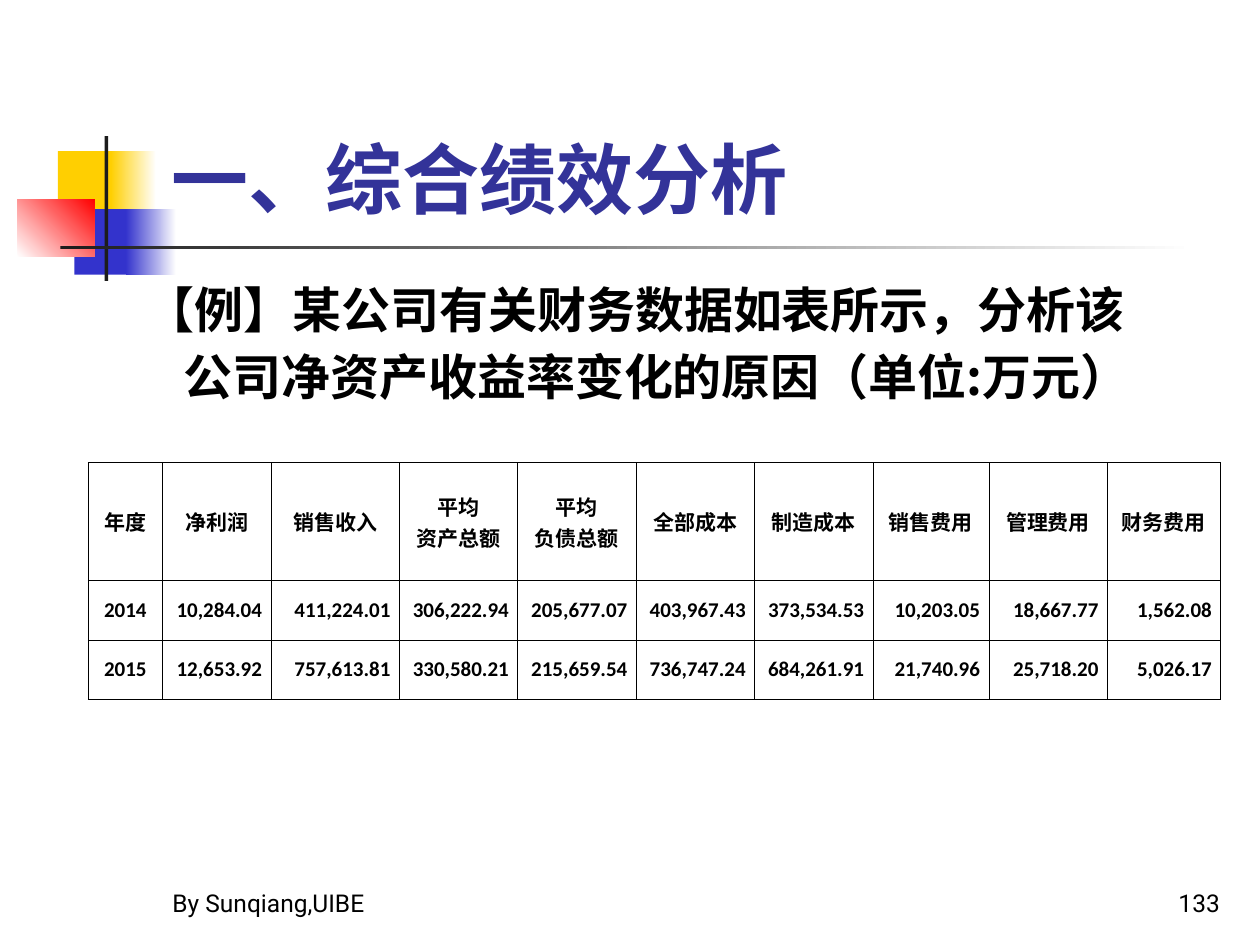
import pptx
import pptx.util
import pptx.dml.color
import pptx.enum.shapes
import pptx.enum.text
import pptx.oxml
import pptx.oxml.ns
from pptx.util import Inches
from lxml import etree

COLORS = {
    "yellow": "FFCF01",
    "blue": "3333CC",
    "red": "FF0000",
    "dark": "1C1C1C",
    "white": "FFFFFF",
    "title": "333399",
    "black": "000000",
}
ALIGN = pptx.enum.text.PP_ALIGN
ANCHOR = pptx.enum.text.MSO_ANCHOR

ORNAMENTS = [
    ((0.46, 1.2, 0.48, 0.52), ["yellow"], 0),
    ((0.88, 1.2, 0.36, 0.52), ["yellow", "white"], 0),
    ((0.59, 1.66, 0.46, 0.52), ["blue"], 0),
    ((1, 1.66, 0.4, 0.52), ["blue", "white"], 0),
    ((0.14, 1.58, 0.61, 0.46), ["white", "red"], 45),
    ((0.83, 1.08, 0.03, 1.15), ["dark"], 0),
    ((0.48, 1.95, 9, 0.03), ["dark", "white"], 0),
]
COLUMN_WIDTHS = [0.59, 0.86, 1.02, 0.94, 0.94, 0.94, 0.94, 0.92, 0.94, 0.9]
ROW_HEIGHTS = [0.94, 0.47, 0.47]
FINANCIALS = [
    ["年度", "净利润", "销售收入", "平均\n资产总额", "平均\n负债总额",
     "全部成本", "制造成本", "销售费用", "管理费用", "财务费用"],
    ["2014", "10,284.04", "411,224.01", "306,222.94", "205,677.07",
     "403,967.43", "373,534.53", "10,203.05", "18,667.77", "1,562.08"],
    ["2015", "12,653.92", "757,613.81", "330,580.21", "215,659.54",
     "736,747.24", "684,261.91", "21,740.96", "25,718.20", "5,026.17"],
]


def rgb(name):
    return pptx.dml.color.RGBColor.from_string(COLORS[name])


def format_text(frame, size, font, color="black", bold=False,
                align=ALIGN.LEFT, east_asian=None):
    for para in frame.paragraphs:
        para.alignment = align
        for span in para.runs:
            span.font.size = pptx.util.Pt(size)
            span.font.name = font
            span.font.bold = bold
            span.font.color.rgb = rgb(color)
            if east_asian:
                latin = span.font._element.find(pptx.oxml.ns.qn("a:latin"))
                typeface = etree.Element(pptx.oxml.ns.qn("a:ea"), typeface=east_asian)
                latin.addnext(typeface)


def add_ornament(page, place, colors, angle):
    shape = page.shapes.add_shape(
        pptx.enum.shapes.MSO_SHAPE.RECTANGLE, *map(Inches, place))
    shape.shadow.inherit = False
    shape.line.fill.background()
    if len(colors) == 1:
        shape.fill.solid()
        shape.fill.fore_color.rgb = rgb(colors[0])
        return
    shape.fill.gradient()
    shape.fill.gradient_angle = angle
    for stop, color in zip(shape.fill.gradient_stops, colors):
        stop.color.rgb = rgb(color)


def set_title(page, text):
    title = page.shapes.title
    title.left, title.top, title.width, title.height = map(
        Inches, (1.26, 0.23, 8.52, 1.6))
    frame = title.text_frame
    frame.text = text
    frame.vertical_anchor = ANCHOR.BOTTOM
    frame.paragraphs[0].line_spacing = 1.15
    format_text(frame, 44, "Roboto", "title", True, east_asian="Roboto")


def add_text(page, place, text, anchor=ANCHOR.TOP):
    frame = page.shapes.add_textbox(*map(Inches, place)).text_frame
    frame.word_wrap = True
    frame.vertical_anchor = anchor
    frame.text = text
    return frame


def add_example(page, text):
    frame = add_text(page, (1.06, 2.1, 8.24, 1.58), text)
    para = frame.paragraphs[0]
    para.line_spacing = 1.14
    properties = para._p.get_or_add_pPr()
    properties.set("marL", str(Inches(0.3)))
    properties.set("indent", str(Inches(-0.3)))
    format_text(frame, 28, "Noto Sans CJK SC", bold=True, east_asian="Roboto")


def add_footer(page, left, text, align):
    frame = add_text(page, (left, 6.83, 2.08, 0.5), text, ANCHOR.BOTTOM)
    format_text(frame, 14, "Roboto", align=align)


def set_borders(cell):
    properties = cell._tc.get_or_add_tcPr()
    for position, side in enumerate(("lnL", "lnR", "lnT", "lnB")):
        border = pptx.oxml.parse_xml(
            f'<a:{side} {pptx.oxml.ns.nsdecls("a")} w="{pptx.util.Pt(0.45)}">'
            f'<a:solidFill><a:srgbClr val="{COLORS["black"]}"/></a:solidFill>'
            f'</a:{side}>')
        properties.insert(position, border)


def fill_cell(cell, text, align):
    cell.text_frame.text = text
    cell.vertical_anchor = ANCHOR.MIDDLE
    cell.margin_left = cell.margin_right = Inches(0.07)
    cell.fill.background()
    set_borders(cell)
    format_text(cell.text_frame, 12, "Calibri", bold=True, align=align,
                east_asian="Noto Sans CJK SC")


def add_financial_table(page):
    table = page.shapes.add_table(
        len(ROW_HEIGHTS), len(COLUMN_WIDTHS), Inches(0.7), Inches(3.67),
        Inches(sum(COLUMN_WIDTHS)), Inches(sum(ROW_HEIGHTS))).table
    table.horz_banding = False
    table.first_row = False
    for column, width in zip(table.columns, COLUMN_WIDTHS):
        column.width = Inches(width)
    for row, height in zip(table.rows, ROW_HEIGHTS):
        row.height = Inches(height)
    for row_index, values in enumerate(FINANCIALS):
        for column_index, text in enumerate(values):
            is_label = row_index == 0 or column_index == 0
            fill_cell(table.cell(row_index, column_index), text,
                      ALIGN.CENTER if is_label else ALIGN.RIGHT)


def main():
    deck = pptx.Presentation()
    deck.slide_width, deck.slide_height = Inches(10), Inches(7.5)
    page = deck.slides.add_slide(deck.slide_layouts[5])
    for place, colors, angle in ORNAMENTS:
        add_ornament(page, place, colors, angle)
    set_title(page, "一、综合绩效分析")
    add_example(page, "【例】某公司有关财务数据如表所示，分析该公司净资产收益率变化的原因（单位:万元）")
    add_footer(page, 1.27, "By Sunqiang,UIBE", ALIGN.LEFT)
    add_footer(page, 7.7, "133", ALIGN.RIGHT)
    add_financial_table(page)
    deck.save("out.pptx")


if __name__ == "__main__":
    main()
